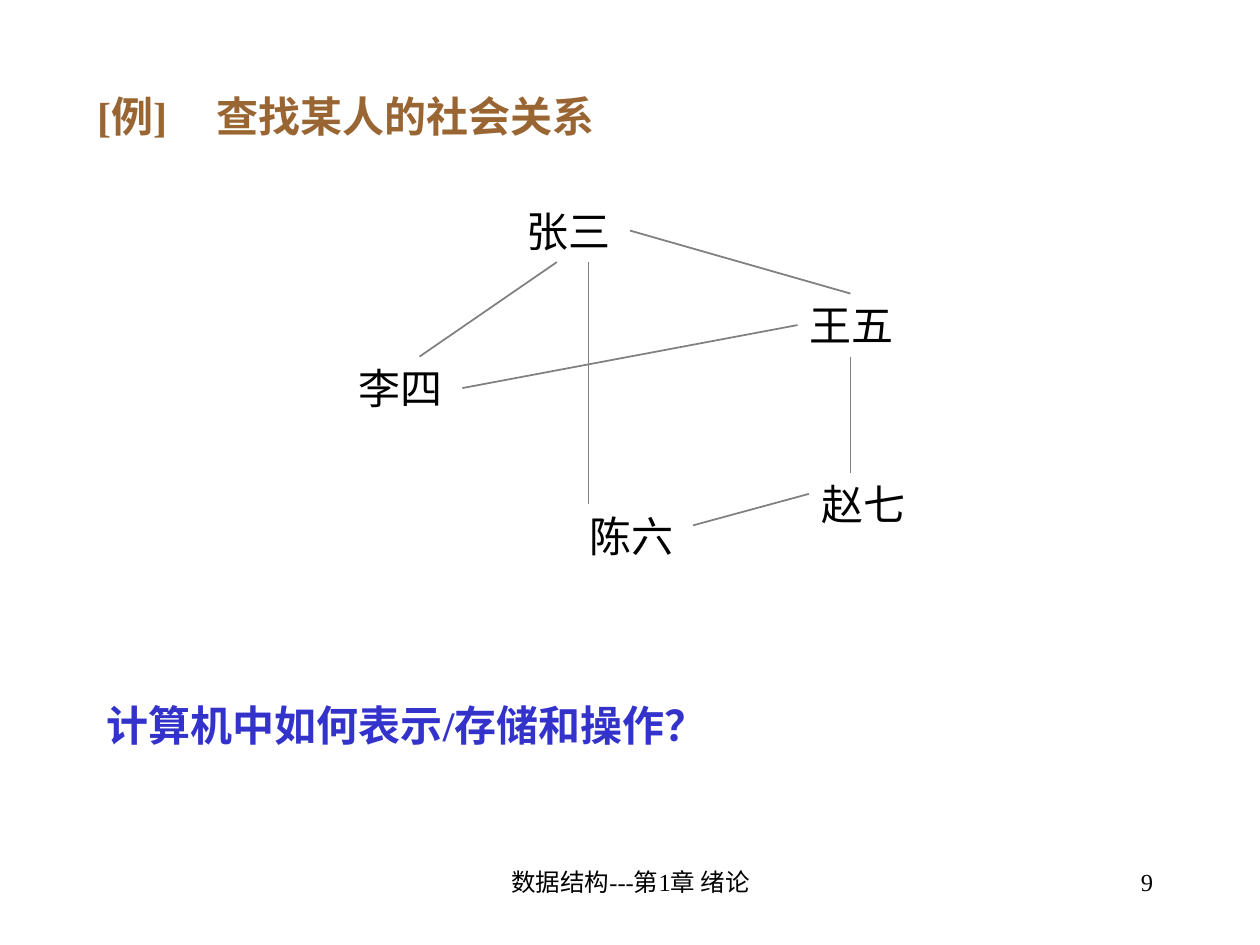
from lxml.etree import SubElement
from pptx import Presentation
from pptx.dml.color import RGBColor
from pptx.enum.shapes import MSO_CONNECTOR as CONN, MSO_SHAPE as SHAPE
from pptx.enum.text import MSO_ANCHOR as ANCHOR, MSO_AUTO_SIZE as AUTO, PP_ALIGN as ALIGN
from pptx.oxml.ns import qn
from pptx.util import Inches, Pt

COLORS = {"title": "996633", "question": "3333CC", "text": "000000",
          "node": "FFFFFF", "edge": "808080"}
FONT = "Times New Roman"
NODE_SIZE = (0.92, 0.5)
PEOPLE = {"张三": (4.08, 1.58), "李四": (2.75, 2.83), "王五": (6.33, 2.33),
          "陈六": (4.58, 4), "赵七": (6.42, 3.75)}
TOP, LEFT, BOTTOM, RIGHT = range(4)
RELATIONS = [
    ((4.42, 2.08), (3.33, 2.83), None, None),
    ((4.67, 2.08), (4.67, 4), None, None),
    ((3.67, 3.08), (6.33, 2.58), ("李四", RIGHT), ("王五", LEFT)),
    ((5, 1.83), (6.75, 2.33), ("张三", RIGHT), None),
    ((6.75, 2.83), (6.75, 3.75), None, None),
    ((5.5, 4.17), (6.42, 3.92), None, None),
]


def rgb(name):
    """Return the named colour."""
    return RGBColor.from_string(COLORS[name])


def write(sp, text, size, color="text", bold=False, align=ALIGN.LEFT, anchor=ANCHOR.TOP):
    """Fill a shape with one formatted paragraph."""
    tf = sp.text_frame
    tf.word_wrap = True
    tf.auto_size = AUTO.NONE
    tf.vertical_anchor = anchor
    p = tf.paragraphs[0]
    p.alignment = align
    r = p.add_run()
    r.text = text
    r.font.name, r.font.size, r.font.bold = FONT, Pt(size), bold
    r.font.color.rgb = rgb(color)
    return p


def add_title(s, text, tab):
    """Place the title, with one tab stop after its label."""
    sp = s.shapes.title
    sp.left, sp.top, sp.width, sp.height = map(Inches, (0.67, 0.42, 8.5, 1))
    p = write(sp, text, 24, "title", True, anchor=ANCHOR.MIDDLE)
    tabs = SubElement(p._p.get_or_add_pPr(), qn("a:tabLst"))
    SubElement(tabs, qn("a:tab"), pos=str(Inches(tab)), algn="l")


def add_text(s, box, text, size, **style):
    """Add a text box."""
    write(s.shapes.add_textbox(*map(Inches, box)), text, size, **style)


def add_person(s, name, position):
    """Add a person's node to the graph."""
    sp = s.shapes.add_shape(SHAPE.RECTANGLE, *map(Inches, position + NODE_SIZE))
    sp.shadow.inherit = False
    sp.fill.solid()
    sp.fill.fore_color.rgb = rgb("node")
    sp.line.fill.background()
    write(sp, name, 24)
    return sp


def add_relation(s, nodes, start, end, source, target):
    """Draw an edge, joined to nodes where it meets the middle of a side."""
    line = s.shapes.add_connector(CONN.STRAIGHT, *map(Inches, start + end))
    line.line.color.rgb = rgb("edge")
    line.line.width = Pt(1)
    SubElement(line._element.spPr, qn("a:effectLst"))
    if source:
        line.begin_connect(nodes[source[0]], source[1])
    if target:
        line.end_connect(nodes[target[0]], target[1])


def main():
    """Build the slide on social relations."""
    prs = Presentation()
    prs.slide_width, prs.slide_height = Inches(10), Inches(7.5)
    s = prs.slides.add_slide(prs.slide_layouts[5])
    add_text(s, (3.42, 6.83, 3.17, 0.5), "数据结构---第1章 绪论", 14, align=ALIGN.CENTER)
    add_text(s, (7.17, 6.83, 2.08, 0.5), "9", 14, align=ALIGN.RIGHT)
    add_title(s, "[例]\t查找某人的社会关系", 0.95)
    add_text(s, (0.75, 5.5, 8.5, 0.67), "计算机中如何表示/存储和操作？", 24,
             color="question", bold=True)
    nodes = {name: add_person(s, name, position) for name, position in PEOPLE.items()}
    for relation in RELATIONS:
        add_relation(s, nodes, *relation)
    prs.save("out.pptx")


if __name__ == "__main__":
    main()
